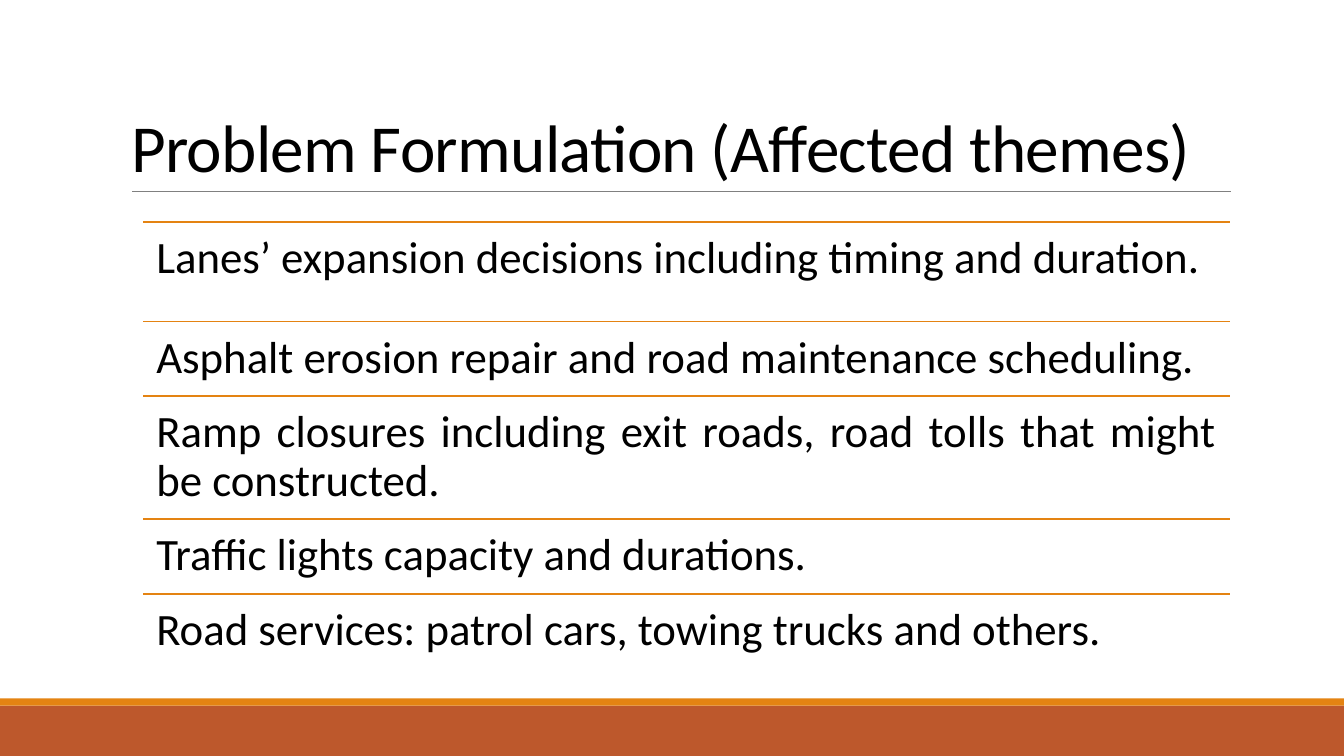
from dataclasses import dataclass

from lxml.etree import SubElement
from pptx import Presentation
from pptx.dml.color import RGBColor
from pptx.enum.shapes import MSO_CONNECTOR, MSO_SHAPE
from pptx.enum.text import MSO_ANCHOR, MSO_AUTO_SIZE, PP_ALIGN
from pptx.oxml.ns import qn
from pptx.slide import Slide
from pptx.text.text import TextFrame, _Paragraph, _Run
from pptx.util import Inches, Pt

SLIDE_WIDTH, SLIDE_HEIGHT = 13.33, 7.5
FONT = "Calibri"
BLACK, GRAY, ORANGE, RUST = "000000", "808080", "E48312", "BD582C"
LIST_LEFT, LIST_WIDTH = 1.42, 10.78


@dataclass
class Band:
    top: float
    height: float
    color: str


@dataclass
class Theme:
    top: float
    height: float
    text: str


FOOTER_BANDS = [Band(7, 0.5, RUST), Band(6.93, 0.07, ORANGE)]
THEMES = [
    Theme(2.2, 1, "Lanes’ expansion decisions including timing and duration."),
    Theme(3.19, 0.73, "Asphalt erosion repair and road maintenance scheduling."),
    Theme(3.93, 1.22, "Ramp closures including exit roads, road tolls that might be constructed."),
    Theme(5.15, 0.74, "Traffic lights capacity and durations."),
    Theme(5.89, 0.81, "Road services: patrol cars, towing trucks and others."),
]


def rgb(color: str) -> RGBColor:
    return RGBColor.from_string(color)


def add_band(page: Slide, band: Band) -> None:
    box = page.shapes.add_shape(
        MSO_SHAPE.RECTANGLE, 0, Inches(band.top), Inches(SLIDE_WIDTH), Inches(band.height)
    )
    box.shadow.inherit = False
    box.fill.solid()
    box.fill.fore_color.rgb = rgb(band.color)
    box.line.fill.background()


def add_rule(page: Slide, left: float, top: float, width: float, color: str, weight: float) -> None:
    """Draw a horizontal line without a shadow."""
    rule = page.shapes.add_connector(
        MSO_CONNECTOR.STRAIGHT, Inches(left), Inches(top), Inches(left + width), Inches(top)
    )
    rule.line.color.rgb = rgb(color)
    rule.line.width = Pt(weight)
    SubElement(rule._element.spPr, qn("a:effectLst"))


def prepare_frame(frame: TextFrame, anchor: MSO_ANCHOR) -> None:
    frame.word_wrap = True
    frame.auto_size = MSO_AUTO_SIZE.NONE
    frame.vertical_anchor = anchor


def add_span(para: _Paragraph, text: str, size: float) -> _Run:
    span = para.add_run()
    span.text = text
    span.font.name = FONT
    span.font.size = Pt(size)
    span.font.color.rgb = rgb(BLACK)
    return span


def set_title(page: Slide, text: str) -> None:
    title = page.shapes.title
    title.left, title.top = Inches(1.2), Inches(0.31)
    title.width, title.height = Inches(11), Inches(1.59)
    prepare_frame(title.text_frame, MSO_ANCHOR.BOTTOM)
    para = title.text_frame.paragraphs[0]
    para.alignment = PP_ALIGN.LEFT
    para.line_spacing = 0.85
    span = add_span(para, text, 48)
    span.font._element.set("spc", "-50")


def add_theme(page: Slide, theme: Theme) -> None:
    add_rule(page, LIST_LEFT, theme.top, LIST_WIDTH, ORANGE, 1.25)
    box = page.shapes.add_textbox(
        Inches(LIST_LEFT), Inches(theme.top), Inches(LIST_WIDTH), Inches(theme.height)
    )
    frame = box.text_frame
    prepare_frame(frame, MSO_ANCHOR.TOP)
    frame.margin_left = frame.margin_right = Inches(0.13)
    frame.margin_top = frame.margin_bottom = Inches(0.13)
    para = frame.paragraphs[0]
    para.alignment = PP_ALIGN.JUSTIFY
    para.line_spacing = 0.9
    add_span(para, theme.text, 32)


def main() -> None:
    deck = Presentation()
    deck.slide_width, deck.slide_height = Inches(SLIDE_WIDTH), Inches(SLIDE_HEIGHT)
    page = deck.slides.add_slide(deck.slide_layouts.get_by_name("Title Only"))
    for band in FOOTER_BANDS:
        add_band(page, band)
    add_rule(page, 1.31, 1.9, 10.9, GRAY, 0.5)
    set_title(page, "Problem Formulation (Affected themes)")
    for theme in THEMES:
        add_theme(page, theme)
    deck.save("out.pptx")


if __name__ == "__main__":
    main()
